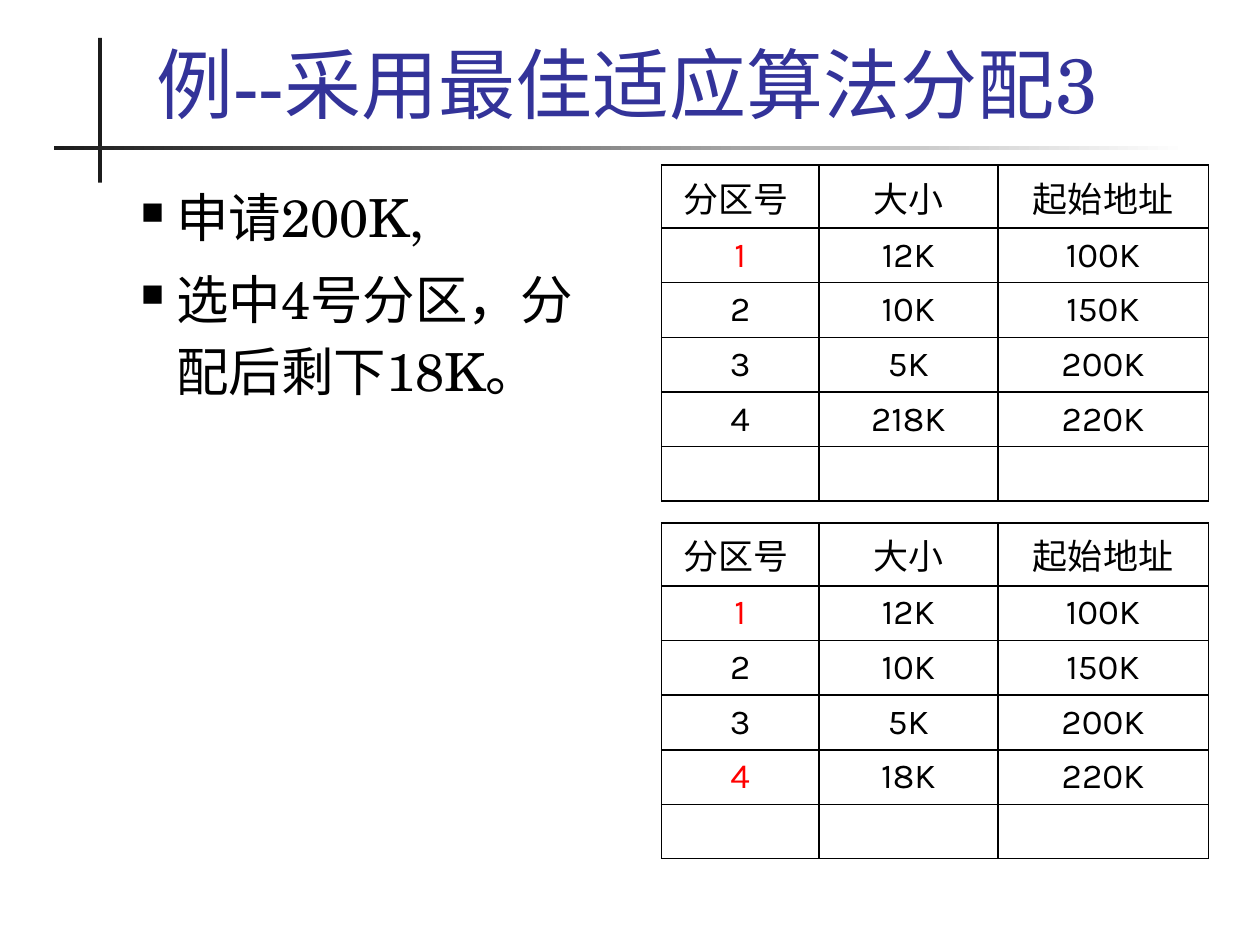
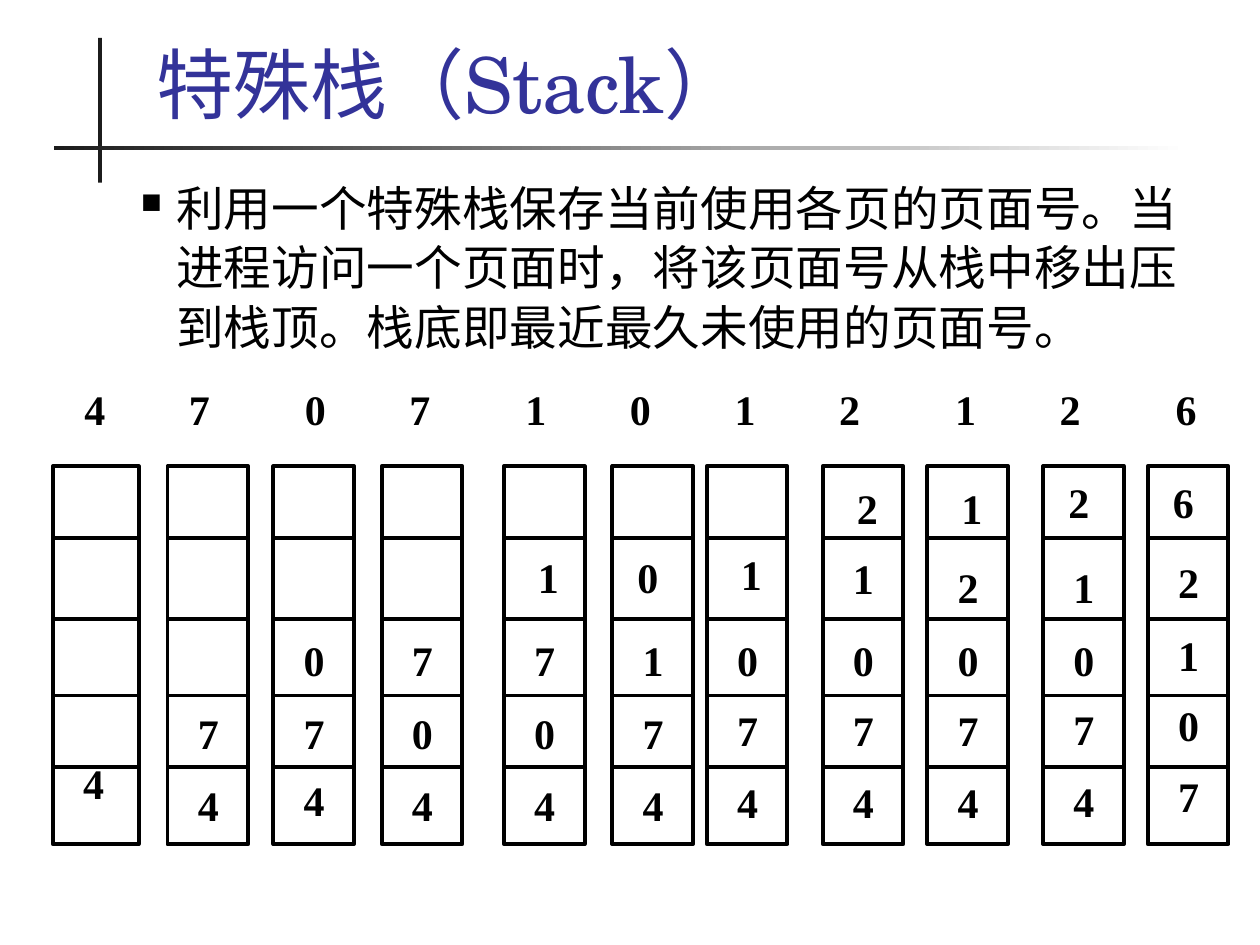
from dataclasses import dataclass
from itertools import accumulate

from lxml import etree
from pptx import Presentation
from pptx.dml.color import RGBColor
from pptx.enum.shapes import MSO_CONNECTOR, MSO_SHAPE
from pptx.enum.text import MSO_ANCHOR, PP_ALIGN
from pptx.oxml.ns import qn
from pptx.util import Inches, Pt

RECTANGLE = MSO_SHAPE.RECTANGLE
STRAIGHT = MSO_CONNECTOR.STRAIGHT
CENTER = PP_ALIGN.CENTER
MIDDLE = MSO_ANCHOR.MIDDLE
TOP = MSO_ANCHOR.TOP
BOTTOM = MSO_ANCHOR.BOTTOM

SERIF = "TeX Gyre Schola"
SANS = "Karla"
ROMAN = "Times New Roman"
BLACK, WHITE, RED = "000000", "FFFFFF", "FF0000"
BAND, TITLE_BLUE = "1C1C1C", "333399"

STACK_TOP, STACK_HEIGHT = 3.7, 3
DIVIDERS = (4.27, 4.91, 5.52, 6.09)
LINE_POINTS = 24
DIGIT_CENTER = 0.15
DIGIT_INDENT = 0.24

REFERENCES = "47071012126"
REFERENCE_STEPS = (0.83, 0.92, 0.83, 0.92, 0.83, 0.83, 0.83, 0.92, 0.83, 0.92)


@dataclass(frozen=True)
class Stack:
    left: float
    pages: str
    centers: tuple[float, ...]
    top_shift: float = 0
    width: float = 0.64


@dataclass(frozen=True)
class PartitionTable:
    top: float
    rows: tuple[tuple[str, str, str], ...]
    highlighted: tuple[str, ...]


STACKS = (
    Stack(0.42, "4", (6.23,), width=0.68),
    Stack(1.33, "74", (5.83, 6.4)),
    Stack(2.17, "074", (5.25, 5.83, 6.36)),
    Stack(3.03, "704", (5.25, 5.83, 6.4)),
    Stack(4, "1704", (4.59, 5.25, 5.83, 6.4), 0.03),
    Stack(4.86, "0174", (4.59, 5.25, 5.83, 6.4), -0.04),
    Stack(5.61, "1074", (4.57, 5.25, 5.81, 6.38), 0.03),
    Stack(6.53, "21074", (4.05, 4.6, 5.25, 5.81, 6.38), 0.03),
    Stack(7.36, "12074", (4.05, 4.67, 5.25, 5.81, 6.38), 0.03),
    Stack(8.28, "21074", (4, 4.67, 5.25, 5.8, 6.37), -0.04),
    Stack(9.11, "62107", (4, 4.63, 5.21, 5.77, 6.33), -0.04),
)

HEADER = ("分区号 ", "大小", "起始地址")
COLUMN_WIDTHS = (1.25, 1.42, 1.67)
FIRST_ROWS = (("1", "12K", "100K"), ("2", "10K", "150K"), ("3", "5K", "200K"))
EMPTY_ROW = ("", "", "")
TABLES = (
    PartitionTable(1.31, (HEADER, *FIRST_ROWS, ("4", "218K", "220K"), EMPTY_ROW), ("1",)),
    PartitionTable(4.15, (HEADER, *FIRST_ROWS, ("4", "18K", "220K"), EMPTY_ROW), ("1", "4")),
)


def rgb(color: str) -> RGBColor:
    return RGBColor.from_string(color)


def write_text(para, text: str, *, size: float, font: str = SERIF,
               color: str = BLACK, bold: bool = False) -> None:
    span = para.add_run()
    span.text = text
    span.font.size = Pt(size)
    span.font.name = font
    span.font.bold = bold
    span.font.color.rgb = rgb(color)


def add_box(page, left: float, top: float, width: float, height: float, anchor=TOP):
    box = page.shapes.add_textbox(Inches(left), Inches(top), Inches(width), Inches(height))
    frame = box.text_frame
    frame.word_wrap = True
    frame.vertical_anchor = anchor
    return frame


def set_insets(frame, top: float = 0) -> None:
    frame.margin_left = frame.margin_right = frame.margin_bottom = 0
    frame.margin_top = Inches(top)


def add_rectangle(shapes, left: float, top: float, width: float, height: float):
    box = shapes.add_shape(RECTANGLE, Inches(left), Inches(top), Inches(width), Inches(height))
    box.shadow.inherit = False
    box.fill.solid()
    box.fill.fore_color.rgb = rgb(WHITE)
    return box


def add_page(deck, title: str):
    page = deck.slides.add_slide(deck.slide_layouts[6])
    upright = add_rectangle(page.shapes, 0.78, 0.3, 0.03, 1.15)
    upright.fill.fore_color.rgb = rgb(BAND)
    upright.line.fill.background()
    rule = add_rectangle(page.shapes, 0.43, 1.16, 9, 0.03)
    rule.line.fill.background()
    rule.fill.gradient()
    rule.fill.gradient_angle = 0
    for stop, color in zip(rule.fill.gradient_stops, (BAND, WHITE)):
        stop.color.rgb = rgb(color)
    frame = add_box(page, 1.14, 0.25, 8.59, 0.82, BOTTOM)
    write_text(frame.paragraphs[0], title, size=44, color=TITLE_BLUE)
    return page


def add_bullet(para) -> None:
    properties = para._p.get_or_add_pPr()
    properties.set("marL", str(Inches(0.28)))
    properties.set("indent", str(-Inches(0.28)))
    bullet_color = etree.SubElement(properties, qn("a:buClr"))
    etree.SubElement(bullet_color, qn("a:srgbClr"), val=BLACK)
    etree.SubElement(properties, qn("a:buSzPct"), val="60000")
    etree.SubElement(properties, qn("a:buChar"), char="■")


def add_body(page, width: float, height: float, texts: tuple[str, ...],
             size: float, spacing: float) -> None:
    frame = add_box(page, 1.02, 1.35, width, height)
    for index, text in enumerate(texts):
        para = frame.add_paragraph() if index else frame.paragraphs[0]
        add_bullet(para)
        para.line_spacing = spacing
        if index:
            para.space_before = Pt(size * 0.2)
        write_text(para, text, size=size)


def add_borders(cell) -> None:
    properties = cell._tc.get_or_add_tcPr()
    for position, side in enumerate(("a:lnL", "a:lnR", "a:lnT", "a:lnB")):
        border = etree.Element(qn(side), w=str(Pt(1)))
        fill = etree.SubElement(border, qn("a:solidFill"))
        etree.SubElement(fill, qn("a:srgbClr"), val=BLACK)
        properties.insert(position, border)


def add_partition_table(page, partition: PartitionTable) -> None:
    row_count = len(partition.rows)
    table = page.shapes.add_table(row_count, len(HEADER), Inches(5.25), Inches(partition.top),
                                  Inches(sum(COLUMN_WIDTHS)), Inches(2.65)).table
    table.first_row = table.horz_banding = False
    for column, width in zip(table.columns, COLUMN_WIDTHS):
        column.width = Inches(width)
    for row_index, values in enumerate(partition.rows):
        table.rows[row_index].height = Inches(0.43 if row_index else 0.5)
        for column_index, value in enumerate(values):
            cell = table.cell(row_index, column_index)
            cell.fill.background()
            cell.vertical_anchor = MIDDLE
            add_borders(cell)
            para = cell.text_frame.paragraphs[0]
            para.alignment = CENTER
            if value:
                write_text(para, value, size=20,
                           font=ROMAN if value == HEADER[0] else SANS,
                           color=RED if value in partition.highlighted else BLACK)


def add_references(page) -> None:
    frame = add_box(page, 0.67, 3.11, 9, 0.5)
    set_insets(frame)
    para = frame.paragraphs[0]
    tabs = etree.SubElement(para._p.get_or_add_pPr(), qn("a:tabLst"))
    for position in accumulate(REFERENCE_STEPS):
        etree.SubElement(tabs, qn("a:tab"), pos=str(Inches(position)), algn="l")
    para.line_spacing = Pt(LINE_POINTS)
    write_text(para, "\t".join(REFERENCES), size=24, font=ROMAN, bold=True)


def add_stack(page, stack: Stack) -> None:
    shapes = page.shapes.add_group_shape().shapes
    box = add_rectangle(shapes, stack.left, STACK_TOP, stack.width, STACK_HEIGHT)
    box.line.color.rgb = rgb(BLACK)
    box.line.width = Pt(2.25)
    frame = box.text_frame
    frame.word_wrap = True
    frame.vertical_anchor = TOP
    set_insets(frame, stack.centers[0] - DIGIT_CENTER - STACK_TOP)
    for index, digit in enumerate(stack.pages):
        para = frame.add_paragraph() if index else frame.paragraphs[0]
        para.alignment = PP_ALIGN.LEFT
        para.line_spacing = Pt(LINE_POINTS)
        indent = DIGIT_INDENT if index else DIGIT_INDENT + stack.top_shift
        para._p.get_or_add_pPr().set("marL", str(Inches(indent)))
        if index:
            gap = stack.centers[index] - stack.centers[index - 1]
            para.space_before = Pt(round(gap * 72 - LINE_POINTS, 1))
        write_text(para, digit, size=24, font=ROMAN, bold=True)
    for height in DIVIDERS:
        divider = shapes.add_connector(STRAIGHT, Inches(stack.left), Inches(height),
                                       Inches(stack.left + stack.width), Inches(height))
        divider.line.color.rgb = rgb(BLACK)
        divider.line.width = Pt(2.25)
        etree.SubElement(divider._element.spPr, qn("a:effectLst"))


def build_best_fit(deck) -> None:
    page = add_page(deck, "例--采用最佳适应算法分配3")
    add_body(page, 3.98, 5.35, ("申请200K,", "选中4号分区，分配后剩下18K。"), 30, 1.14)
    for partition in TABLES:
        add_partition_table(page, partition)


def build_page_stack(deck) -> None:
    page = add_page(deck, "特殊栈（Stack）")
    add_body(page, 8.5, 1.69, (
        "利用一个特殊栈保存当前使用各页的页面号。当进程访问一个页面时，"
        "将该页面号从栈中移出压到栈顶。栈底即最近最久未使用的页面号。",
    ), 27.2, 1.04)
    add_references(page)
    for stack in STACKS:
        add_stack(page, stack)


def main() -> None:
    deck = Presentation()
    deck.slide_width = Inches(10)
    deck.slide_height = Inches(7.5)
    build_best_fit(deck)
    build_page_stack(deck)
    deck.save("out.pptx")


if __name__ == "__main__":
    main()
